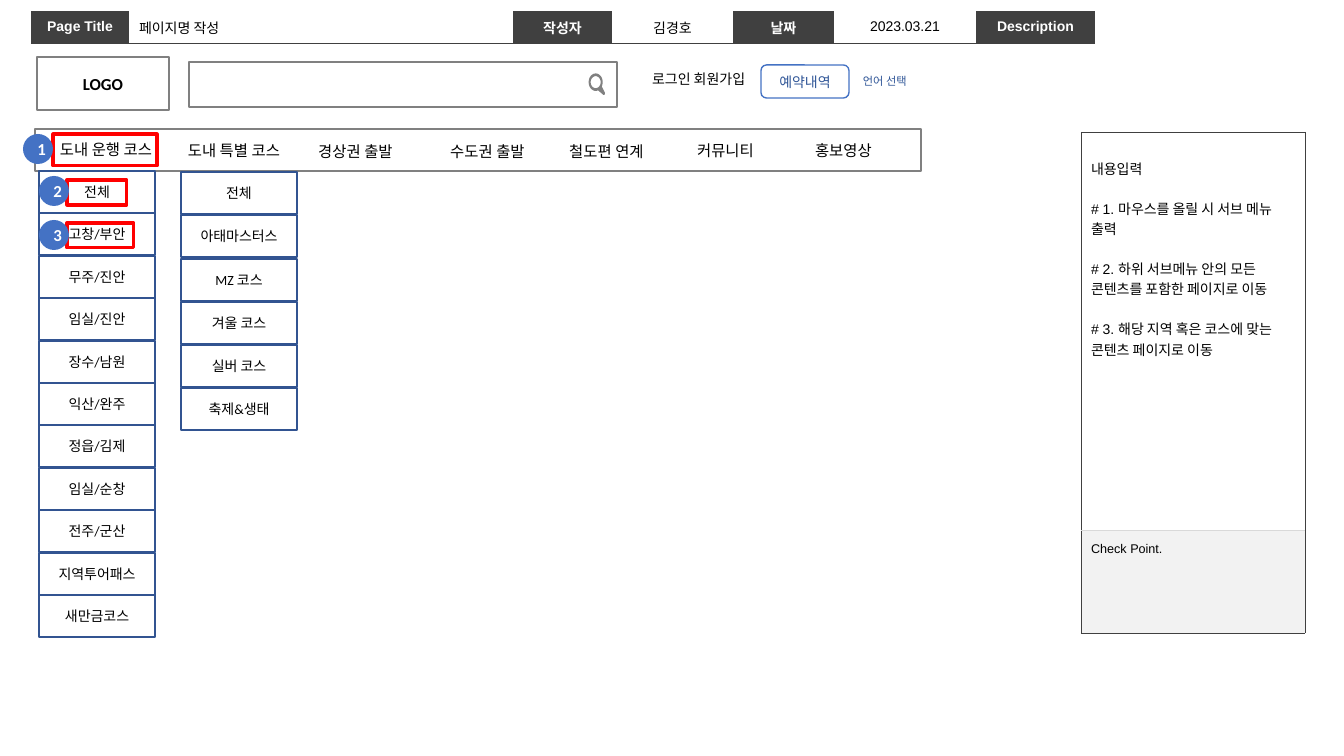
from dataclasses import dataclass
from math import cos, radians, sin

from lxml.etree import SubElement
from pptx import Presentation
from pptx.dml.color import RGBColor
from pptx.enum.shapes import MSO_SHAPE
from pptx.enum.text import MSO_ANCHOR, MSO_AUTO_SIZE, PP_ALIGN
from pptx.oxml.ns import qn
from pptx.util import Pt

PAGE_HEADER = [
    ("Page Title", 98), ("페이지명 작성", 384), ("작성자", 99), ("김경호", 121),
    ("날짜", 101), ("2023.03.21", 142), ("Description", 119), ("", 179),
]
MAIN_MENU = [
    ("도내 운행 코스", 39, 135, 134), ("도내 특별 코스", 171, 136, 126),
    ("경상권 출발", 303, 137, 105), ("수도권 출발", 435, 137, 105),
    ("철도편 연계", 554, 137, 105), ("커뮤니티", 673, 136, 105),
    ("홍보영상", 791, 136, 105),
]
SUBMENUS = [
    (39, 171, 42.4, ["전체", "고창/부안", "무주/진안", "임실/진안", "장수/남원", "익산/완주",
                     "정읍/김제", "임실/순창", "전주/군산", "지역투어패스", "새만금코스"]),
    (181, 172, 43.3, ["전체", "아태마스터스", "MZ 코스", "겨울 코스", "실버 코스", "축제&생태"]),
]
DESCRIPTION = [
    "내용입력",
    "# 1. 마우스를 올릴 시 서브 메뉴 출력",
    "# 2. 하위 서브메뉴 안의 모든 콘텐츠를 포함한 페이지로 이동",
    "# 3. 해당 지역 혹은 코스에 맞는 콘텐츠 페이지로 이동",
]
CHECK_POINT = "Check Point."
MARKERS = [
    ("1", (53, 134, 104, 32), (23, 134)),
    ("2", (67, 180, 60, 25), (39, 176)),
    ("3", (67, 223, 67, 25), (39, 220)),
]


@dataclass(frozen=True)
class Theme:
    white: str = "FFFFFF"
    black: str = "000000"
    dark: str = "404040"
    gray: str = "808080"
    divider: str = "D9D9D9"
    pale: str = "F2F2F2"
    blue: str = "4472C4"
    navy: str = "2F5597"
    menu_line: str = "325491"
    red: str = "FF0000"
    body: str = "Calibri"
    table: str = "Arial"
    tiny: int = 8
    small: int = 9
    regular: int = 10
    menu: int = 11
    large: int = 12


theme = Theme()
PIXEL = 914400 / 100.8


def px(value):
    return round(value * PIXEL)


def style(paragraph, size, color=theme.black, bold=False, font=theme.body, align=PP_ALIGN.CENTER):
    paragraph.alignment = align
    paragraph.font.name = font
    paragraph.font.size = Pt(size)
    paragraph.font.bold = bold
    paragraph.font.color.rgb = RGBColor.from_string(color)


def paint(shape, fill, line, width=1):
    shape.shadow.inherit = False
    if fill:
        shape.fill.solid()
        shape.fill.fore_color.rgb = RGBColor.from_string(fill)
    else:
        shape.fill.background()
    if line:
        shape.line.color.rgb = RGBColor.from_string(line)
        shape.line.width = Pt(width)
    else:
        shape.line.fill.background()


def add_box(slide, box, text="", fill=None, line=None, width=1, kind=MSO_SHAPE.RECTANGLE,
            size=theme.regular, color=theme.black, bold=False):
    shape = slide.shapes.add_shape(kind, *map(px, box))
    paint(shape, fill, line, width)
    if text:
        shape.text_frame.text = text
        shape.text_frame.vertical_anchor = MSO_ANCHOR.MIDDLE
        style(shape.text_frame.paragraphs[0], size, color, bold)


def add_label(slide, box, text, size, wrap=True, anchor=MSO_ANCHOR.TOP, **look):
    frame = slide.shapes.add_textbox(*map(px, box)).text_frame
    frame.word_wrap = wrap
    frame.auto_size = MSO_AUTO_SIZE.SHAPE_TO_FIT_TEXT
    frame.vertical_anchor = anchor
    frame.text = text
    style(frame.paragraphs[0], size, **look)


def add_table(slide, left, top, widths, heights):
    frame = slide.shapes.add_table(len(heights), len(widths), px(left), px(top),
                                   px(sum(widths)), px(sum(heights)))
    table = frame.table
    table.first_row = False
    table.horz_banding = False
    for column, width in zip(table.columns, widths):
        column.width = px(width)
    for row, height in zip(table.rows, heights):
        row.height = px(height)
    return table


def paint_cell(cell, fill, **borders):
    properties = cell._tc.get_or_add_tcPr()
    for side in "LRTB":
        line = SubElement(properties, qn(f"a:ln{side}"), w=str(Pt(0.25)))
        if side in borders:
            solid = SubElement(line, qn("a:solidFill"))
            SubElement(solid, qn("a:srgbClr"), val=borders[side])
        else:
            SubElement(line, qn("a:noFill"))
    cell.fill.solid()
    cell.fill.fore_color.rgb = RGBColor.from_string(fill)


def add_search_icon(slide):
    def arc(radius_x, radius_y, start, stop):
        return [(5957 + radius_x * cos(radians(angle)), 822 + radius_y * sin(radians(angle)))
                for angle in range(start, stop + 1, 10)]

    outer = arc(70, 87, 70, 390) + [(6050, 930), (6045, 950), (6035, 950)]
    inner = arc(50, 60, 0, 350)
    builder = slide.shapes.build_freeform(*outer[0], scale=PIXEL / 10)
    builder.add_line_segments(outer[1:], close=True)
    builder.move_to(*inner[0])
    builder.add_line_segments(inner[1:], close=True)
    paint(builder.convert_to_shape(), theme.gray, None)


def add_site_header(slide):
    add_box(slide, (37, 57, 132, 53), "LOGO", theme.white, theme.gray, size=theme.large, bold=True)
    add_box(slide, (189, 62, 428, 45), fill=theme.white, line=theme.gray)
    add_search_icon(slide)
    add_label(slide, (625, 66, 130, 27), "로그인 회원가입", theme.regular, wrap=False,
              font=theme.table, align=PP_ALIGN.RIGHT)
    add_box(slide, (761, 65, 88, 33), "예약내역", line=theme.blue,
            kind=MSO_SHAPE.ROUNDED_RECTANGLE, color=theme.navy)
    add_label(slide, (853, 69, 69, 24), "언어 선택", theme.tiny,
              color=theme.navy, align=PP_ALIGN.LEFT)
    add_box(slide, (35, 129, 886, 42), fill=theme.white, line=theme.gray)
    for text, left, top, width in MAIN_MENU:
        add_label(slide, (left, top, width, 29), text, theme.menu, anchor=MSO_ANCHOR.MIDDLE)


def add_description(slide):
    table = add_table(slide, 1081, 132, [224], [398, 103])
    notes, check = table.cell(0, 0), table.cell(1, 0)
    paint_cell(notes, theme.white, L=theme.dark, T=theme.dark, R=theme.dark, B=theme.divider)
    paint_cell(check, theme.pale, L=theme.dark, T=theme.divider, R=theme.dark, B=theme.dark)
    notes.margin_top = px(26)
    notes.text = "\n".join(DESCRIPTION)
    for index, paragraph in enumerate(notes.text_frame.paragraphs):
        style(paragraph, theme.regular, font=theme.table, align=PP_ALIGN.LEFT)
        if index:
            paragraph.space_before = Pt(14.3)
    check.text = CHECK_POINT
    paragraph = check.text_frame.paragraphs[0]
    style(paragraph, theme.small, font=theme.table, align=PP_ALIGN.LEFT)
    paragraph.line_spacing = 1.5


def add_page_header(slide):
    table = add_table(slide, 31, 11, [width for _, width in PAGE_HEADER], [32])
    for index, (text, _) in enumerate(PAGE_HEADER):
        cell = table.cell(0, index)
        heading = bool(text) and index % 2 == 0
        borders = {"B": theme.dark} if text else {}
        paint_cell(cell, theme.dark if heading else theme.white, **borders)
        cell.vertical_anchor = MSO_ANCHOR.MIDDLE
        cell.text = text
        style(cell.text_frame.paragraphs[0], theme.regular,
              theme.white if heading else theme.black, heading, theme.table,
              PP_ALIGN.LEFT if index == 1 else PP_ALIGN.CENTER)


def main():
    presentation = Presentation()
    presentation.slide_width, presentation.slide_height = px(1344), px(756)
    slide = presentation.slides.add_slide(presentation.slide_layouts[6])
    add_site_header(slide)
    add_description(slide)
    add_page_header(slide)
    for left, top, pitch, items in SUBMENUS:
        for index, text in enumerate(items):
            add_box(slide, (left, round(top + index * pitch), 116, 42), text, line=theme.menu_line)
    for number, frame, (left, top) in MARKERS:
        add_box(slide, frame, line=theme.red, width=2.25)
        add_box(slide, (left, top, 30, 30), number, theme.blue, kind=MSO_SHAPE.OVAL,
                size=theme.large, color=theme.white, bold=True)
    presentation.save("out.pptx")


if __name__ == "__main__":
    main()
